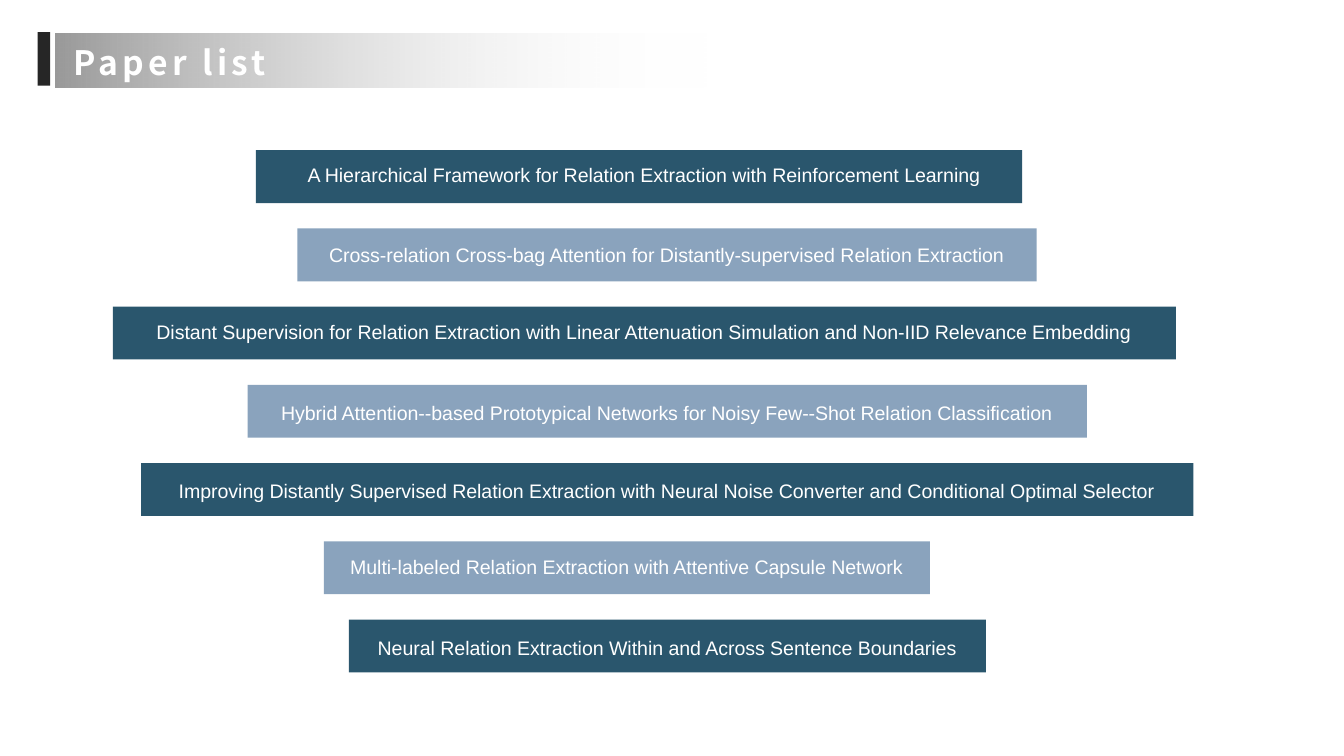
from lxml.etree import SubElement
from pptx import Presentation
from pptx.dml.color import RGBColor
from pptx.enum.shapes import MSO_SHAPE as Shape
from pptx.enum.text import MSO_AUTO_SIZE as AutoSize, PP_ALIGN as Align
from pptx.oxml.ns import qn
from pptx.util import Inches, Pt

WIDTH = 10
HEIGHT = WIDTH * 9 / 16
DARK, LIGHT, WHITE = "2A566D", "8AA3BD", "FFFFFF"
FIRST_TOP, ROW_STEP, BAR_HEIGHT = 19.87, 10.35, 7

PAPERS = [
    ("A Hierarchical Framework for Relation Extraction with Reinforcement Learning",
     19.05, 57, 0.4, 0.9),
    ("Cross-relation Cross-bag Attention for Distantly-supervised Relation Extraction",
     22.13, 55, 0, 1.2),
    ("Distant Supervision for Relation Extraction with Linear Attenuation Simulation "
     "and Non-IID Relevance Embedding", 8.4, 79.1, 0, 1),
    ("Hybrid Attention-‐based Prototypical Networks for Noisy Few-‐Shot Relation Classification",
     18.43, 62.45, 0, 1.4),
    ("Improving Distantly Supervised Relation Extraction with Neural Noise Converter "
     "and Conditional Optimal Selector", 10.5, 78.3, 0, 1.4),
    ("Multi-labeled Relation Extraction with Attentive Capsule Network",
     24.1, 45.1, 0, 1.1),
    ("Neural Relation Extraction Within and Across Sentence Boundaries",
     25.97, 47.4, 0, 1.5),
]


def color(hex_code):
    return RGBColor.from_string(hex_code)


def box(left, top, width, height):
    x, y = WIDTH / 100, HEIGHT / 100
    return Inches(left * x), Inches(top * y), Inches(width * x), Inches(height * y)


def add_rect(s, *place):
    sp = s.shapes.add_shape(Shape.RECTANGLE, *box(*place))
    sp.shadow.inherit = False
    sp.line.fill.background()
    return sp


def add_bar(s, fill, *place):
    sp = add_rect(s, *place)
    sp.fill.solid()
    sp.fill.fore_color.rgb = color(fill)


def add_fade(s, *place):
    sp = add_rect(s, *place)
    sp.fill.gradient()
    sp.fill.gradient_angle = 0
    stops = sp.fill.gradient_stops
    for stop, position, fill in zip(stops, (0, 1), ("000000", WHITE)):
        stop.position = position
        stop.color.rgb = color(fill)
    for node, alpha in zip(sp._element.iter(qn("a:srgbClr")), (40, 0)):
        SubElement(node, qn("a:alpha"), val=str(alpha * 1000))


def add_text(s, text, *place, size=10.5, font="Arial", bold=False, align=Align.CENTER,
             margins=(0.07, 0.04), spacing=0):
    tf = s.shapes.add_textbox(*box(*place)).text_frame
    tf.word_wrap = True
    tf.auto_size = AutoSize.SHAPE_TO_FIT_TEXT
    tf.margin_left = tf.margin_right = Inches(margins[0])
    tf.margin_top = tf.margin_bottom = Inches(margins[1])
    p = tf.paragraphs[0]
    p.alignment = align
    r = p.add_run()
    r.text = text
    r.font.size, r.font.name, r.font.bold = Pt(size), font, bold
    r.font.color.rgb = color(WHITE)
    if spacing:
        r._r.get_or_add_rPr().set("spc", str(round(spacing * 100)))


def add_title(s, text):
    add_fade(s, 4.15, 4.4, 48.8, 7.2)
    add_bar(s, "262626", 2.8, 4.25, 0.93, 7.1)
    add_text(s, text, 4.5, 4.7, 24.4, 7.1, size=18, font="Noto Sans CJK SC", bold=True,
             align=Align.LEFT, margins=(0.1, 0.05), spacing=2.2)


def add_paper(s, row, title, left, width, shift, drop):
    top = FIRST_TOP + row * ROW_STEP
    add_bar(s, LIGHT if row % 2 else DARK, left, top, width, BAR_HEIGHT)
    add_text(s, title, left + shift, top + drop, width, 4.6)


def main():
    prs = Presentation()
    prs.slide_width, prs.slide_height = Inches(WIDTH), Inches(HEIGHT)
    s = prs.slides.add_slide(prs.slide_layouts[6])
    add_title(s, "Paper list")
    for row, paper in enumerate(PAPERS):
        add_paper(s, row, *paper)
    prs.save("out.pptx")


if __name__ == "__main__":
    main()
